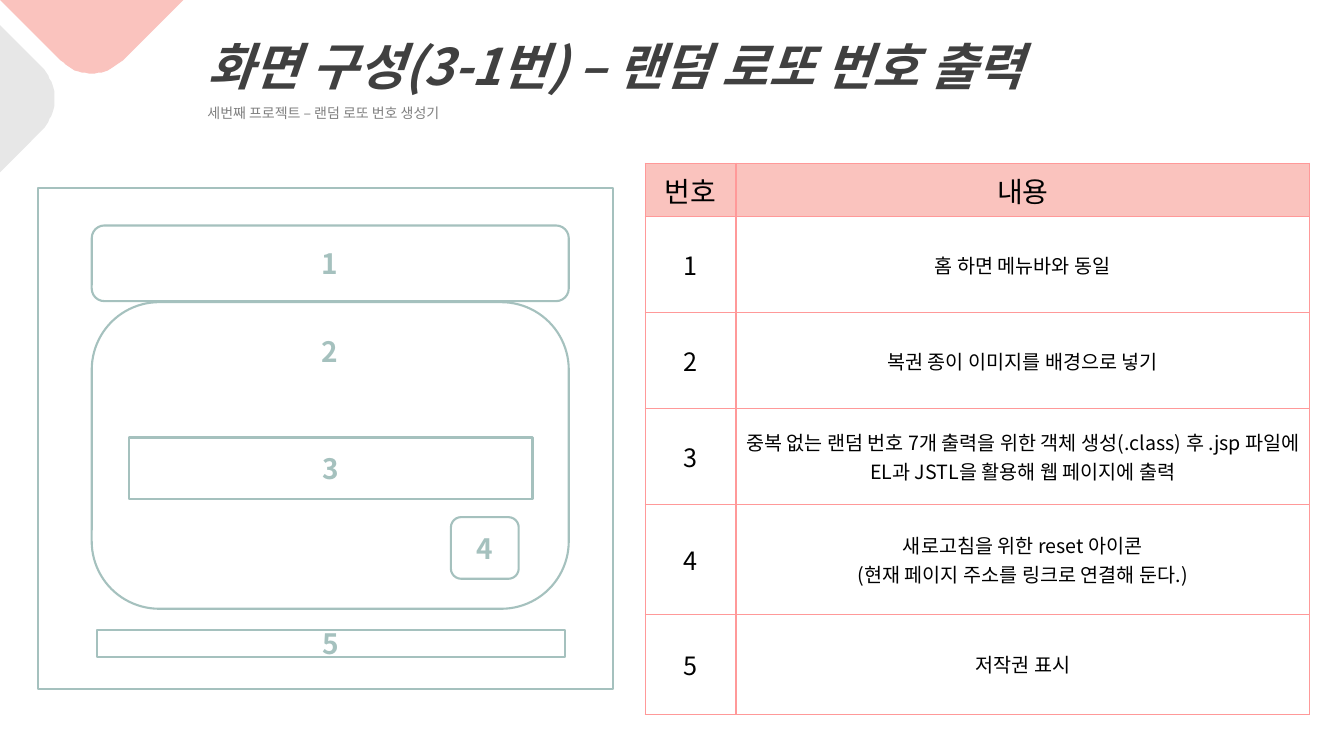
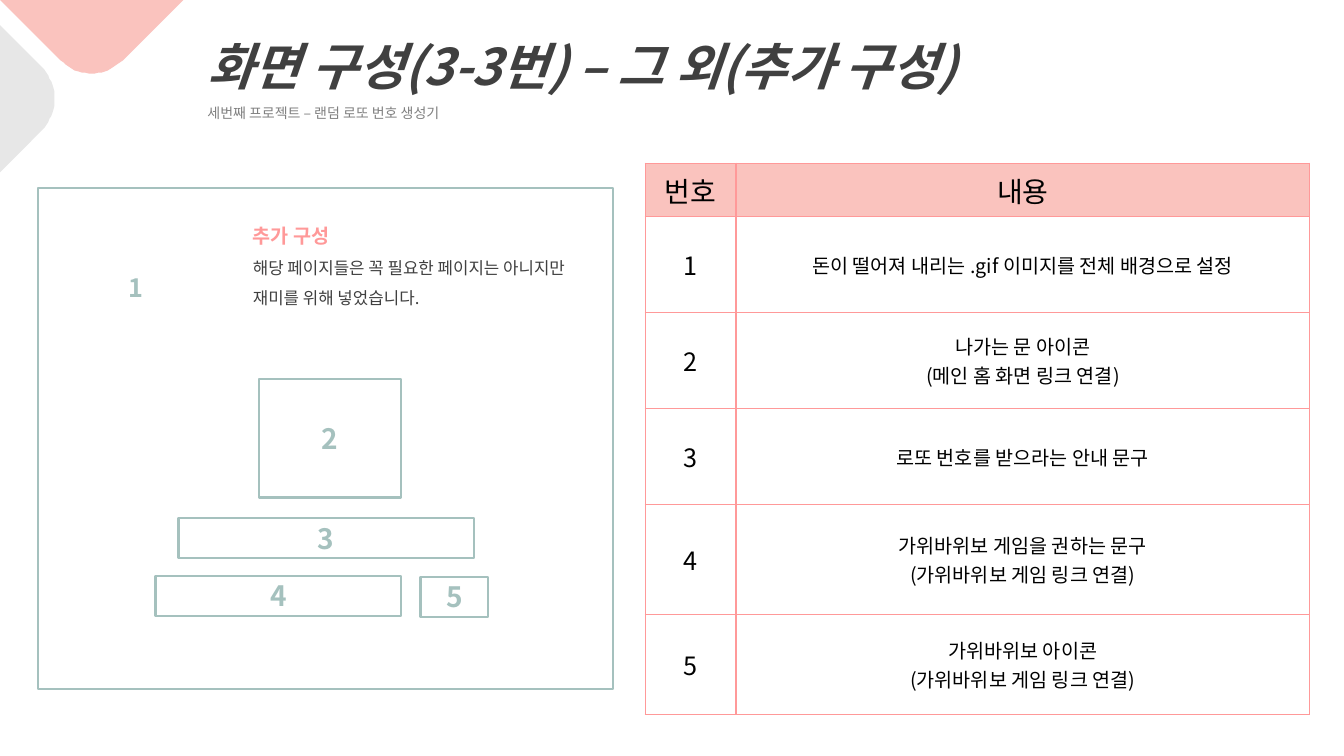
import pptx
import pptx.dml.color
import pptx.enum.shapes
import pptx.enum.text
import pptx.oxml
import pptx.oxml.ns
import pptx.util
from collections import namedtuple

RGB = pptx.dml.color.RGBColor
PINK = RGB(0xFA, 0xC3, 0xBE)
ROSE = RGB(0xFF, 0x99, 0x99)
SAGE = RGB(0xA5, 0xC1, 0xBE)
PALE_GRAY = RGB(0xE7, 0xE7, 0xE7)
MID_GRAY = RGB(0x80, 0x80, 0x80)
CHARCOAL = RGB(0x40, 0x40, 0x40)
BLACK = RGB(0, 0, 0)
FONT = "Noto Sans CJK KR"

SHAPES = pptx.enum.shapes.MSO_SHAPE
ANCHOR = pptx.enum.text.MSO_ANCHOR
CENTER = pptx.enum.text.PP_ALIGN.CENTER

Box = namedtuple("Box", "left top width height")
Line = namedtuple("Line", "text size color bold italic", defaults=(False, False))
Block = namedtuple("Block", "number area kind corner top_margin",
                   defaults=(SHAPES.RECTANGLE, None, None))

SLIDE = Box(0, 0, pptx.util.Inches(13.33), pptx.util.Inches(7.5))

# Areas are percentages of the box that holds them: left, top, width, height.
TITLE_AREA = (14.7, 0, 73.44, 16.4)
SCREEN_AREA = (2.85, 24.93, 42.76, 66.27)
TABLE_AREA = (48.01, 21.6, 49.44, 72.93)
COLUMN_SHARES = (13.66, 86.34)
ROW_SHARES = (9.7, 17.4, 17.4, 17.4, 19.9, 18.2)

# Corner outlines in hundredths of an inch: a point, or the three points of a curve.
CORNERS = (
    (PINK, [(0, 0), (60, 60), ((68, 68), (80, 73), (91, 73)),
            ((102, 73), (113, 68), (122, 60)), (182, 0)]),
    (PALE_GRAY, [(0, 25), (41, 66), ((50, 75), (54, 86), (54, 98)),
                 ((54, 110), (50, 121), (41, 130)), (0, 171)]),
)
CURVE_STEPS = 10

SUBTITLE = "세번째 프로젝트 – 랜덤 로또 번호 생성기"
ROUNDED = SHAPES.ROUNDED_RECTANGLE

LOTTO_BLOCKS = (
    Block("1", (9.3, 7.4, 83, 15.1), ROUNDED),
    Block("5", (10.2, 88.1, 81.4, 5.4)),
    Block("2", (9.3, 22.7, 83, 61.2), ROUNDED, 0.22, 0.12),
    Block("3", (15.8, 49.7, 70.2, 12.3)),
    Block("4", (71.8, 65.6, 11.8, 12.3), ROUNDED),
)
LOTTO_ROWS = (
    ["홈 하면 메뉴바와 동일"],
    ["복권 종이 이미지를 배경으로 넣기"],
    ["중복 없는 랜덤 번호 7개 출력을 위한 객체 생성(.class) 후 .jsp 파일에 EL과 JSTL을 "
     "활용해 웹 페이지에 출력"],
    ["새로고침을 위한 reset 아이콘", "(현재 페이지 주소를 링크로 연결해 둔다.)"],
    ["저작권 표시"],
)

EXTRA_BLOCKS = (
    Block("2", (38.4, 38, 24.7, 23.7)),
    Block("3", (24.4, 65.8, 51.4, 8)),
    Block("4", (20.4, 77.3, 42.8, 8)),
    Block("5", (66.5, 77.5, 11.8, 8)),
)
EXTRA_NOTES = (
    ((35.6, 3.8, 61.8, 20.5), [
        Line("추가 구성", 14, ROSE, True),
        Line("해당 페이지들은 꼭 필요한 페이지는 아니지만 재미를 위해 넣었습니다.", 12, CHARCOAL)]),
    ((14, 12.7, 8.6, 10.1), [Line("1", 18, SAGE, True)]),
)
EXTRA_ROWS = (
    ["돈이 떨어져 내리는 .gif 이미지를 전체 배경으로 설정"],
    ["나가는 문 아이콘", "(메인 홈 화면 링크 연결)"],
    ["로또 번호를 받으라는 안내 문구"],
    ["가위바위보 게임을 권하는 문구", "(가위바위보 게임 링크 연결)"],
    ["가위바위보 아이콘", "(가위바위보 게임 링크 연결)"],
)


def within(box, area):
    """Turn an area in percent of box into a Box on the slide."""
    left, top, width, height = area
    return Box(round(box.left + box.width * left / 100),
               round(box.top + box.height * top / 100),
               round(box.width * width / 100),
               round(box.height * height / 100))


def write(frame, lines, align=None, spacing=None):
    """Fill a text frame, one paragraph for each line."""
    for index, line in enumerate(lines):
        paragraph = frame.add_paragraph() if index else frame.paragraphs[0]
        paragraph.text = line.text
        paragraph.alignment = align
        paragraph.line_spacing = spacing
        font = paragraph.font
        font.size = pptx.util.Pt(line.size)
        font.bold, font.italic = line.bold, line.italic
        font.color.rgb = line.color
        font.name = FONT
        # Hangul takes the East Asian typeface.
        defaults = paragraph._p.pPr.find(pptx.oxml.ns.qn("a:defRPr"))
        defaults.append(pptx.oxml.parse_xml(
            f'<a:ea {pptx.oxml.ns.nsdecls("a")} typeface="{FONT}"/>'))


def add_text(slide, box, lines):
    frame = slide.shapes.add_textbox(*box).text_frame
    frame.word_wrap = True
    frame.auto_size = pptx.enum.text.MSO_AUTO_SIZE.SHAPE_TO_FIT_TEXT
    write(frame, lines, spacing=1.5)


def flatten(outline):
    """Replace each cubic curve of an outline by short straight steps."""
    points = [outline[0]]
    for part in outline[1:]:
        if len(part) == 2:
            points.append(part)
            continue
        controls = (points[-1], *part)
        for step in range(1, CURVE_STEPS + 1):
            t = step / CURVE_STEPS
            weights = ((1 - t) ** 3, 3 * t * (1 - t) ** 2, 3 * t * t * (1 - t), t ** 3)
            points.append(tuple(sum(w * point[axis] for w, point in zip(weights, controls))
                                for axis in (0, 1)))
    return points


def add_corners(slide):
    for color, outline in CORNERS:
        start, *others = flatten(outline)
        builder = slide.shapes.build_freeform(*start, scale=pptx.util.Inches(0.01))
        builder.add_line_segments(others, close=True)
        corner = builder.convert_to_shape()
        corner.shadow.inherit = False
        corner.fill.solid()
        corner.fill.fore_color.rgb = color
        corner.line.fill.background()


def add_outline(slide, box, kind=SHAPES.RECTANGLE):
    outline = slide.shapes.add_shape(kind, *box)
    outline.shadow.inherit = False
    outline.fill.background()
    outline.line.color.rgb = SAGE
    outline.line.width = pptx.util.Pt(1.5)
    return outline


def add_screen(slide, box, blocks, notes):
    """Draw the page sketch with its numbered blocks and loose notes."""
    add_outline(slide, box)
    for block in blocks:
        outline = add_outline(slide, within(box, block.area), block.kind)
        if block.corner is not None:
            outline.adjustments[0] = block.corner
        frame = outline.text_frame
        frame.word_wrap = True
        frame.vertical_anchor = ANCHOR.MIDDLE
        if block.top_margin is not None:
            frame.vertical_anchor = ANCHOR.TOP
            frame.margin_top = pptx.util.Inches(block.top_margin)
        write(frame, [Line(block.number, 20, SAGE, True)], CENTER)
    for area, lines in notes:
        add_text(slide, within(box, area), lines)


def add_borders(cell):
    properties = cell._tc.get_or_add_tcPr()
    for side in "LRTB":
        properties.append(pptx.oxml.parse_xml(
            f'<a:ln{side} {pptx.oxml.ns.nsdecls("a")} w="{pptx.util.Pt(1)}">'
            f'<a:solidFill><a:srgbClr val="{ROSE}"/></a:solidFill></a:ln{side}>'))


def fill_cell(cell, texts, size, color=None):
    cell.vertical_anchor = ANCHOR.MIDDLE
    add_borders(cell)
    if color is None:
        cell.fill.background()
    else:
        cell.fill.solid()
        cell.fill.fore_color.rgb = color
    write(cell.text_frame, [Line(text, size, BLACK) for text in texts], CENTER)


def add_description(slide, box, descriptions):
    """Add the table that explains each numbered block."""
    table = slide.shapes.add_table(len(ROW_SHARES), len(COLUMN_SHARES), *box).table
    table.first_row = table.horz_banding = False
    for column, share in zip(table.columns, COLUMN_SHARES):
        column.width = round(box.width * share / 100)
    for row, share in zip(table.rows, ROW_SHARES):
        row.height = round(box.height * share / 100)
    for column, heading in enumerate(("번호", "내용")):
        fill_cell(table.cell(0, column), [heading], 20, PINK)
    for number, texts in enumerate(descriptions, 1):
        fill_cell(table.cell(number, 0), [str(number)], 18)
        fill_cell(table.cell(number, 1), texts, 14)


def add_page(deck, title, blocks, descriptions, notes=()):
    slide = deck.slides.add_slide(deck.slide_layouts[6])
    add_corners(slide)
    add_text(slide, within(SLIDE, TITLE_AREA),
             [Line(title, 36, CHARCOAL, True, True), Line(SUBTITLE, 10, MID_GRAY)])
    add_screen(slide, within(SLIDE, SCREEN_AREA), blocks, notes)
    add_description(slide, within(SLIDE, TABLE_AREA), descriptions)


def main():
    deck = pptx.Presentation()
    deck.slide_width, deck.slide_height = SLIDE.width, SLIDE.height
    add_page(deck, "화면 구성(3-1번) – 랜덤 로또 번호 출력", LOTTO_BLOCKS, LOTTO_ROWS)
    add_page(deck, "화면 구성(3-3번) – 그 외(추가 구성)", EXTRA_BLOCKS, EXTRA_ROWS, EXTRA_NOTES)
    deck.save("out.pptx")


if __name__ == "__main__":
    main()
